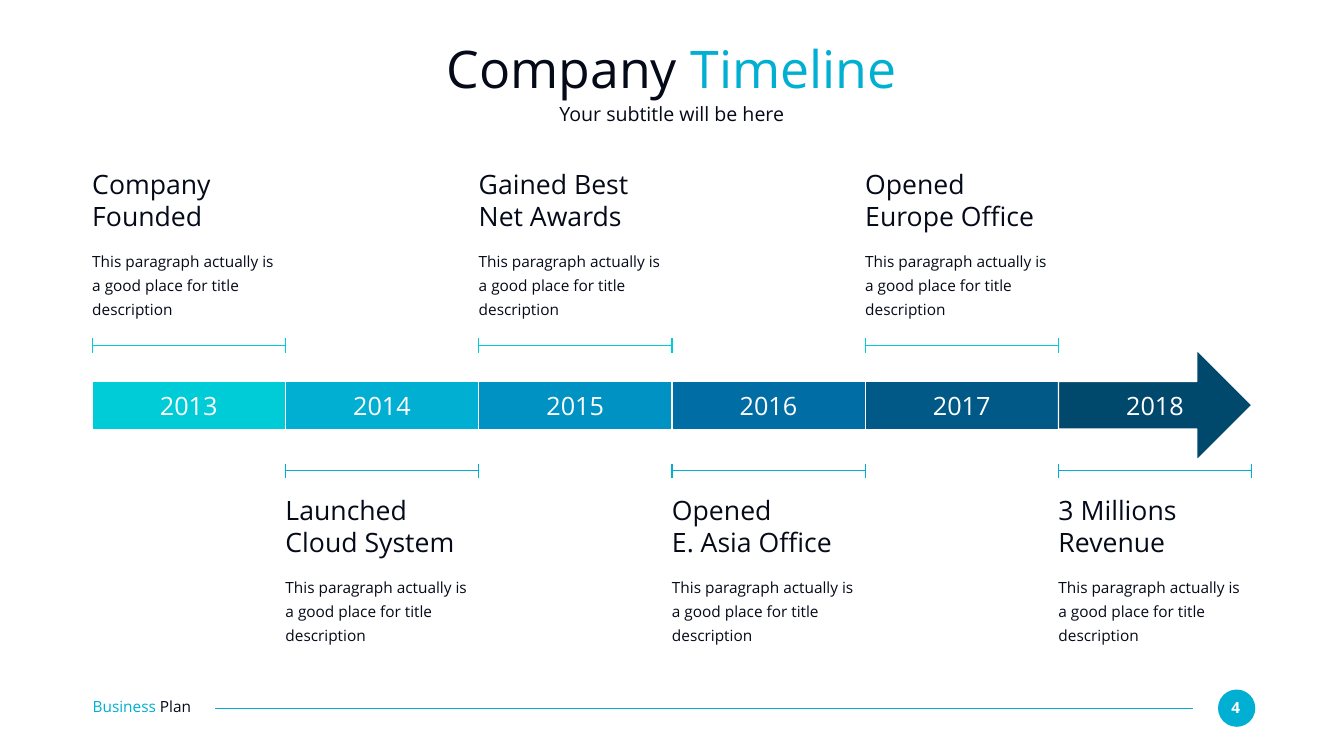
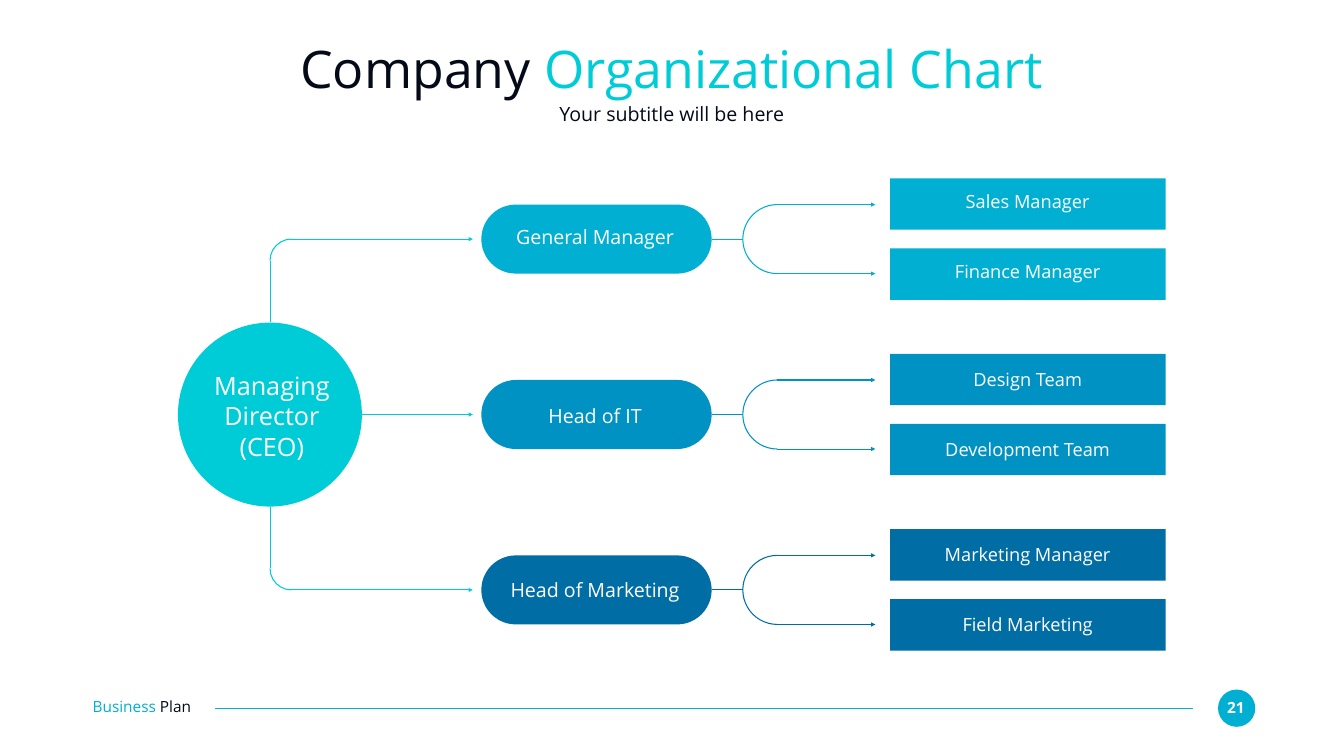
from dataclasses import dataclass

from lxml import etree
from pptx import Presentation
from pptx.dml.color import RGBColor
from pptx.enum.shapes import MSO_CONNECTOR, MSO_SHAPE
from pptx.enum.text import PP_ALIGN
from pptx.oxml.ns import qn
from pptx.util import Cm, Pt

STRAIGHT = MSO_CONNECTOR.STRAIGHT
ARC = MSO_SHAPE.ARC
OVAL = MSO_SHAPE.OVAL
RECTANGLE = MSO_SHAPE.RECTANGLE
RIGHT_ARROW = MSO_SHAPE.RIGHT_ARROW
ROUNDED = MSO_SHAPE.ROUNDED_RECTANGLE
LEFT, CENTER = PP_ALIGN.LEFT, PP_ALIGN.CENTER

# Arc adjustments: 0.6 per degree, clockwise from three o'clock
DOWN, WEST, UP = 54, 108, 162


@dataclass(frozen=True)
class Theme:
    font: str = "Open Sans"
    ink: str = "050A19"
    white: str = "FFFFFF"
    accent: str = "00AFD2"
    # Light to dark
    blues: tuple = ("00CCD7", "00AFD2", "0092C3", "006DA4", "005986", "00486C")
    title: int = 74
    heading: int = 38
    large: int = 36
    subtitle: int = 28
    team: int = 26
    small: int = 22
    line_width: float = 1.5


class Deck:
    """Holds the theme and the slide being drawn; lengths are centimetres."""

    def __init__(self, theme):
        self.theme = theme
        self.presentation = Presentation()
        self.presentation.slide_width = Cm(67.74)
        self.presentation.slide_height = Cm(38.1)
        self.slide = None

    def new_slide(self, title, highlight, highlight_color, number):
        theme = self.theme
        blank = self.presentation.slide_layouts[6]
        self.slide = self.presentation.slides.add_slide(blank)
        self.footer(number)
        self.text((4.65, 1.85, 58.42, 3.23),
                  [[(title, theme.ink), (highlight, highlight_color)]],
                  size=theme.title, align=CENTER)
        self.text((4.65, 5.16, 58.42, 1.24), "Your subtitle will be here",
                  size=theme.subtitle, align=CENTER)

    def footer(self, number):
        theme = self.theme
        self.shape(OVAL, (61.39, 34.75, 1.88, 1.88), fill=theme.accent)
        self.text((61.54, 35.18, 1.5, 0.94), str(number), size=theme.small,
                  color=theme.white, align=CENTER, bold=True)
        self.line((60.12, 35.69), (10.85, 35.69), theme.accent)
        self.text((4.67, 35.15, 6.58, 0.94),
                  [[("Business ", theme.accent), ("Plan", theme.ink)]],
                  size=theme.small)

    def text(self, box, content, *, size, color=None, align=LEFT, bold=False,
             spacing=None):
        """Adds text; content is a string (one paragraph per line) or
        a list of paragraphs, each a list of (words, color) runs."""
        color = color or self.theme.ink
        if isinstance(content, str):
            content = [[(words, color)] for words in content.split("\n")]
        frame = self.slide.shapes.add_textbox(*map(Cm, box)).text_frame
        frame.word_wrap = True
        frame.margin_left = frame.margin_right = 0
        frame.margin_top = frame.margin_bottom = 0
        for index, runs in enumerate(content):
            paragraph = frame.add_paragraph() if index else frame.paragraphs[0]
            paragraph.alignment = align
            if spacing:
                paragraph.line_spacing = spacing
            for words, run_color in runs:
                run = paragraph.add_run()
                run.text = words
                run.font.name = self.theme.font
                run.font.size = Pt(size)
                run.font.bold = bold
                run.font.color.rgb = RGBColor.from_string(run_color)

    def shape(self, kind, box, *, fill=None, line=None, adjustments=()):
        shape = self.slide.shapes.add_shape(kind, *map(Cm, box))
        shape.shadow.inherit = False
        for index, value in enumerate(adjustments):
            shape.adjustments[index] = value
        if fill:
            shape.fill.solid()
            shape.fill.fore_color.rgb = RGBColor.from_string(fill)
        else:
            shape.fill.background()
        if line:
            self.set_line(shape, line)
        else:
            shape.line.fill.background()

    def set_line(self, shape, color):
        shape.line.color.rgb = RGBColor.from_string(color)
        shape.line.width = Pt(self.theme.line_width)

    def line(self, start, end, color, shapes=None):
        shapes = self.slide.shapes if shapes is None else shapes
        connector = shapes.add_connector(STRAIGHT, *map(Cm, (*start, *end)))
        self.set_line(connector, color)
        properties = connector.line._get_or_add_ln().getparent()
        etree.SubElement(properties, qn("a:effectLst"))
        return connector

    def arrow(self, tip, tail, color):
        connector = self.line(tip, tail, color)
        outline = connector.line._get_or_add_ln()
        etree.SubElement(outline, qn("a:headEnd"), type="triangle")

    def bracket(self, left, y, width, color):
        """Draws a horizontal line with a tick at each end, as one group."""
        shapes = self.slide.shapes.add_group_shape().shapes
        self.line((left, y), (left + width, y), color, shapes)
        for x in (left, left + width):
            self.line((x, y - 0.37), (x, y + 0.37), color, shapes)


def build_timeline(deck):
    theme = deck.theme
    deck.new_slide("Company ", "Timeline", theme.accent, 4)
    left, step = 4.65, 9.74
    milestones = (
        "Company Founded",
        "Launched Cloud System",
        "Gained Best\nNet Awards",
        "Opened\nE. Asia Office",
        "Opened\nEurope Office",
        "3 Millions\nRevenue",
    )
    columns = [left + index * step for index in range(len(milestones))]

    for x, color in zip(columns[:-1], theme.blues):
        deck.shape(RECTANGLE, (x, 19.25, step, 2.39), fill=color,
                   line=theme.white)
    deck.shape(RIGHT_ARROW, (columns[-1], 17.65, step, 5.54),
               fill=theme.blues[-1], line=theme.white,
               adjustments=(0.43, 0.5))
    for year, x in enumerate(columns, start=2013):
        deck.text((x + 2.59, 19.66, 4.55, 1.55), str(year), size=theme.large,
                  color=theme.white, align=CENTER)

    for index, (x, heading) in enumerate(zip(columns, milestones)):
        below = index % 2
        bracket_y, heading_y = ((17.42, 8.48), (23.73, 24.9))[below]
        deck.bracket(x, bracket_y, step, theme.blues[below])
        deck.text((x, heading_y, step, 3.25), heading, size=theme.heading)
        deck.text((x, heading_y + 3.95, step, 3.66),
                  "This paragraph actually is a good place for title description",
                  size=theme.small, spacing=1.3)


def draw_director_links(deck, rows, color):
    center_x, radius, corner, tip_x = 13.61, 4.64, 2.16, 23.83
    top, middle, bottom = rows
    deck.arrow((tip_x, middle), (center_x + radius, middle), color)
    for y, side, angles in ((top, 1, (WEST, UP)), (bottom, -1, (DOWN, WEST))):
        arc_top = y if side == 1 else y - corner
        deck.line((center_x, middle - side * radius),
                  (center_x, y + side * corner / 2), color)
        deck.shape(ARC, (center_x, arc_top, corner, corner), line=color,
                   adjustments=angles)
        deck.arrow((tip_x, y), (center_x + corner / 2, y), color)


def draw_department(deck, y, color, head, head_rise, teams, team_drop):
    """Draws a head and its two teams around y; the last number of each pair
    places the label: above the row centre, or below the top of its box."""
    theme = deck.theme
    height, fork_left = 3.48, 37.44
    half = height / 2
    deck.shape(ROUNDED, (24.26, y - half, 11.61, height), fill=color,
               adjustments=(0.5,))
    deck.text((25.1, y - head_rise, 9.78, 1.19), head, size=theme.subtitle,
              color=theme.white, align=CENTER)
    deck.line((35.87, y), (fork_left, y), color)
    deck.shape(ARC, (fork_left, y - half, height, height), line=color,
               adjustments=(DOWN, UP))
    for team, arrow_y, box_top in zip(teams, (y - half, y + half),
                                      (y - 3.06, y + 0.47)):
        deck.arrow((44.12, arrow_y), (fork_left + half, arrow_y), color)
        deck.shape(RECTANGLE, (44.86, box_top, 13.89, 2.59), fill=color)
        deck.text((46.91, box_top + team_drop, 9.78, 1.12), team,
                  size=theme.team, color=theme.white, align=CENTER)


def build_organization(deck):
    theme = deck.theme
    director_color = theme.blues[0]
    deck.new_slide("Company ", "Organizational Chart", director_color, 21)
    departments = (
        ("General Manager", 0.7, ("Sales Manager", "Finance Manager"), 0.59),
        ("Head of IT", 0.52, ("Design Team", "Development Team"), 0.73),
        ("Head of Marketing", 0.6, ("Marketing Manager", "Field Marketing"), 0.73),
    )
    rows = [12.05 + index * 8.84 for index in range(len(departments))]

    deck.shape(OVAL, (8.97, 16.26, 9.27, 9.27), fill=director_color)
    draw_director_links(deck, rows, director_color)
    for y, color, department in zip(rows, theme.blues[1:], departments):
        draw_department(deck, y, color, *department)
    deck.text((9.45, 18.67, 8.51, 4.62), "Managing Director\n(CEO)",
              size=theme.large, color=theme.white, align=CENTER)


def main():
    deck = Deck(Theme())
    build_timeline(deck)
    build_organization(deck)
    deck.presentation.save("out.pptx")


if __name__ == "__main__":
    main()
